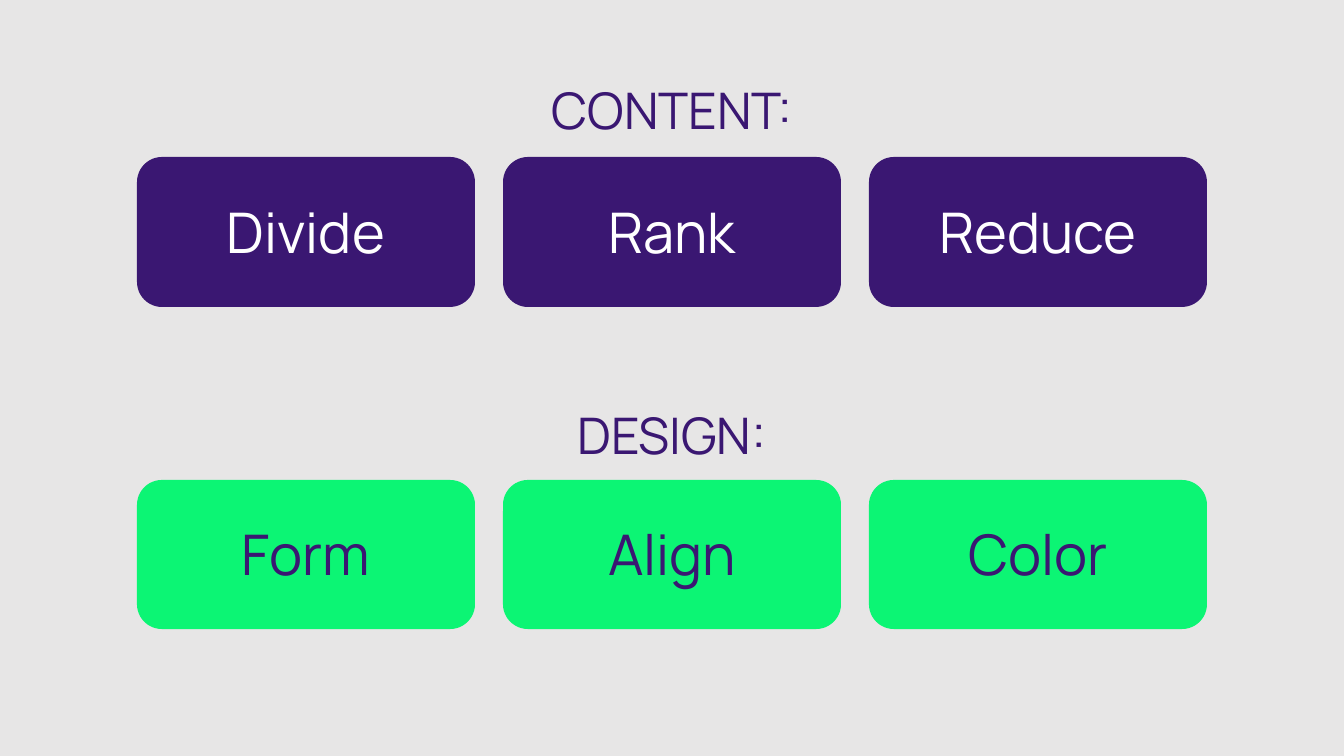
from pptx import Presentation
from pptx import util as u
from pptx.dml.color import RGBColor
from pptx.enum import shapes, text

ROWS = [
    {"head": "CONTENT:", "cards": ["Divide", "Rank", "Reduce"],
     "head_top": 67, "top": 157, "high": 150, "fill": "violet", "ink": "white"},
    {"head": "DESIGN:", "cards": ["Form", "Align", "Color"],
     "head_top": 392, "top": 480, "high": 149, "fill": "green", "ink": "violet"},
]
COLORS = {"back": "E7E6E6", "violet": "3A1772", "green": "0CF574", "white": "FFFFFF"}
FONT = "Manrope"
WIDE, HIGH = 1344, 756
CARD, GAP = 338, 28
HEAD, HEAD_HIGH = 1011, 92
SCALE = 12192000 / WIDE


def px(n):
    return u.Emu(round(n * SCALE))


def box(left, top, wide, high):
    return [px(n) for n in (left, top, wide, high)]


def paint(fill, color):
    fill.solid()
    fill.fore_color.rgb = RGBColor.from_string(COLORS[color])


def write(shape, words, size, color):
    frame = shape.text_frame
    frame.word_wrap = True
    frame.vertical_anchor = text.MSO_ANCHOR.MIDDLE
    para = frame.paragraphs[0]
    para.text = words
    para.alignment = text.PP_ALIGN.CENTER
    font = para.runs[0].font
    font.name = FONT
    font.size = u.Pt(size)
    font.color.rgb = RGBColor.from_string(COLORS[color])
    return para


def add_head(slide, row):
    left = (WIDE - HEAD) / 2
    label = slide.shapes.add_textbox(*box(left, row["head_top"], HEAD, HEAD_HIGH))
    write(label, row["head"], 36, "violet").line_spacing = 0.9


def add_cards(slide, row):
    count = len(row["cards"])
    start = (WIDE - count * CARD - (count - 1) * GAP) / 2
    for i, words in enumerate(row["cards"]):
        left = start + i * (CARD + GAP)
        card = slide.shapes.add_shape(
            shapes.MSO_SHAPE.ROUNDED_RECTANGLE,
            *box(left, row["top"], CARD, row["high"]))
        card.shadow.inherit = False
        card.line.fill.background()
        paint(card.fill, row["fill"])
        write(card, words, 40, row["ink"])
        card.text_frame.margin_bottom = px(7)


def main():
    deck = Presentation()
    deck.slide_width, deck.slide_height = px(WIDE), px(HIGH)
    slide = deck.slides.add_slide(deck.slide_layouts[6])
    paint(slide.background.fill, "back")
    for row in ROWS:
        add_head(slide, row)
        add_cards(slide, row)
    deck.save("out.pptx")


if __name__ == "__main__":
    main()
